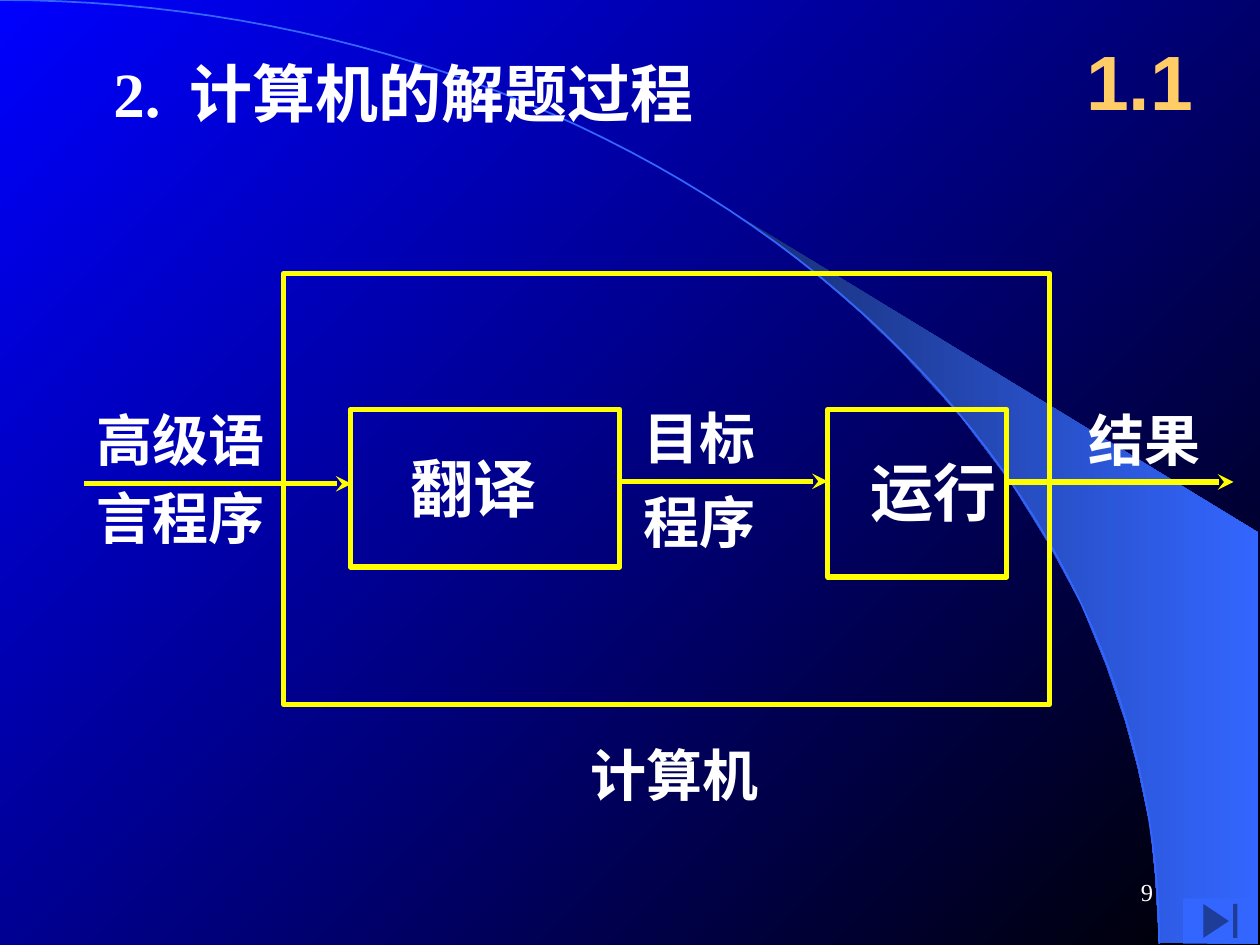
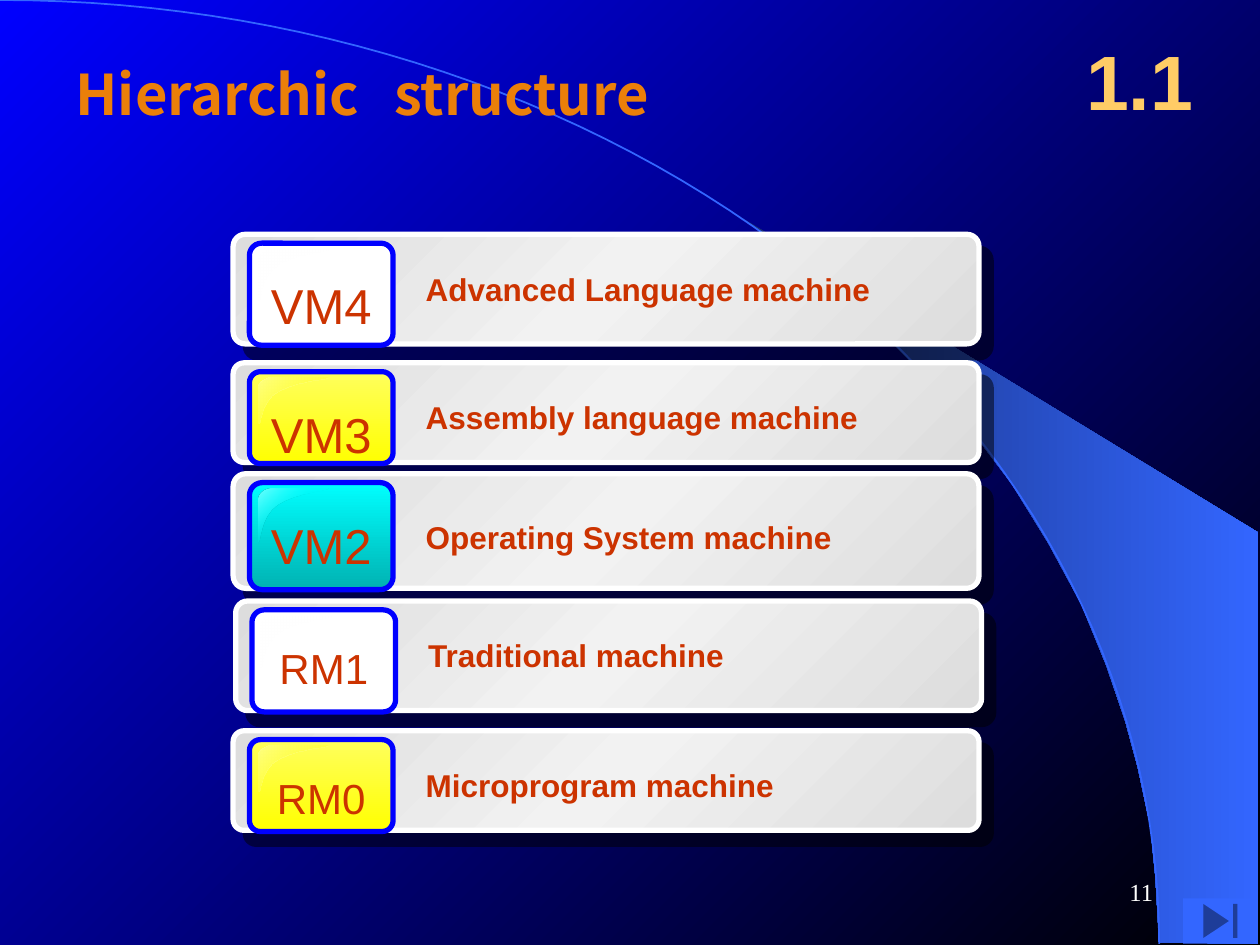
from dataclasses import dataclass
from math import cos, pi, sin
from typing import NamedTuple

from lxml.etree import SubElement
from pptx import Presentation
from pptx.dml.color import RGBColor
from pptx.enum.shapes import MSO_CONNECTOR, MSO_SHAPE
from pptx.enum.text import MSO_ANCHOR, MSO_AUTO_SIZE, PP_ALIGN
from pptx.oxml.ns import qn
from pptx.util import Emu, Inches, Pt

# The slide is a grid of 100 columns by 75 rows; every length below is in cells.
COLUMNS, ROWS = 100, 75
CELL = Inches(0.1)

WHITE = RGBColor(0xFF, 0xFF, 0xFF)
BLACK = RGBColor(0x00, 0x00, 0x00)
BLUE = RGBColor(0x00, 0x00, 0xFF)
SKY = RGBColor(0x33, 0x66, 0xFF)
NAVY = RGBColor(0x18, 0x2F, 0x76)
YELLOW = RGBColor(0xFF, 0xFF, 0x00)
PALE_YELLOW = RGBColor(0xFF, 0xFF, 0x5D)
GLINT_YELLOW = RGBColor(0xFF, 0xFF, 0x83)
CYAN = RGBColor(0x00, 0xFF, 0xFF)
TEAL = RGBColor(0x00, 0xB2, 0xB2)
GLINT_CYAN = RGBColor(0x74, 0xFF, 0xFF)
GOLD = RGBColor(0xFF, 0xCC, 0x66)
ORANGE = RGBColor(0xEB, 0x7F, 0x09)
RUST = RGBColor(0xCC, 0x33, 0x00)
GREY = RGBColor(0xDD, 0xDD, 0xDD)
LIGHT_GREY = RGBColor(0xF2, 0xF2, 0xF2)

SERIF, SANS, CHINESE = "Times New Roman", "Arial", "Noto Sans CJK SC"
SECTION = "1.1"
SWOOSH = [(92, 74.8), (99.9, 74.9), (99.9, 42.3), (58.9, 17.3), (62.4, 19.9),
          (65.3, 22.2), (68.5, 25), (71.6, 28), (76.2, 33), (80.3, 38.4),
          (83.2, 43.1), (85.8, 47.9), (87.8, 52.8), (89.3, 57.2), (90.3, 60.9),
          (91.3, 65.6), (91.7, 69.6)]
# Cubic curves of the badge highlight, as shares of its width and height.
GLINT_CURVES = [
    ((0.19, 0), (0.09, 0), (0, 0.1), (0, 0.2)),
    ((0, 1), (0.05, 1.02), (0.02, 0.52), (0.28, 0.3)),
    ((0.28, 0.3), (0.53, 0.08), (1, 0.05), (0.98, 0)),
]


class Box(NamedTuple):
    left: float
    top: float
    width: float
    height: float

    def lengths(self) -> list[Emu]:
        return [cells(value) for value in self]


class Stop(NamedTuple):
    position: int
    color: RGBColor
    opacity: int = 100


@dataclass(frozen=True)
class BadgeStyle:
    face: tuple[Stop, ...]
    glint: tuple[Stop, ...]


@dataclass(frozen=True)
class Level:
    code: str
    label: str
    top: float
    height: float
    style: BadgeStyle
    code_size: int = 28
    shift: float = 0
    label_drop: float = 2.3


@dataclass(frozen=True)
class Caption:
    text: str
    box: Box
    size: int = 32


WHITE_BADGE = BadgeStyle((Stop(0, WHITE), Stop(100, WHITE)),
                         (Stop(0, WHITE), Stop(100, WHITE, 0)))
YELLOW_BADGE = BadgeStyle((Stop(0, PALE_YELLOW), Stop(100, YELLOW)),
                          (Stop(0, GLINT_YELLOW), Stop(100, YELLOW, 0)))
CYAN_BADGE = BadgeStyle((Stop(0, CYAN), Stop(100, TEAL)),
                        (Stop(0, GLINT_CYAN), Stop(50, CYAN, 0), Stop(100, GLINT_CYAN)))
BAR_STOPS = (Stop(0, GREY), Stop(50, LIGHT_GREY), Stop(100, GREY))

LEVELS = [
    Level("VM4", "Advanced Language machine", 18.6, 8.7, WHITE_BADGE),
    Level("VM3", "Assembly language machine", 28.8, 7.9, YELLOW_BADGE),
    Level("VM2", "Operating System machine", 37.6, 9.1, CYAN_BADGE, label_drop=3),
    Level("RM1", "Traditional machine", 47.7, 8.7, WHITE_BADGE, 24, shift=0.2),
    Level("RM0", "Microprogram machine", 58, 7.9, YELLOW_BADGE, 24),
]

COMPUTER_FRAMES = [Box(22.5, 21.7, 60.8, 34.2), Box(27.8, 32.5, 21.4, 12.5),
                   Box(65.7, 32.5, 14.2, 13.3)]
FLOWS = [(6.7, 27.9, 38.4), (49.2, 65.7, 38.2), (79.9, 97.9, 38.25)]
CAPTIONS = [
    Caption("计算机", Box(45.9, 58.3, 16, 6.4)),
    Caption("高级语", Box(6.7, 31.7, 16, 6.4)),
    Caption("言程序", Box(6.7, 37.9, 16, 6.4)),
    Caption("目标", Box(50.1, 31.5, 13, 6.4)),
    Caption("程序", Box(50.1, 38.2, 13, 6.4)),
    Caption("结果", Box(85.4, 31.7, 13, 6.4)),
    Caption("翻译", Box(31.6, 35.2, 13.8, 7), 36),
    Caption("运行", Box(68.1, 35.5, 13, 7), 36),
]


def cells(count: float) -> Emu:
    return Emu(round(count * CELL))


def set_gradient(fill, element, stops, angle: int) -> None:
    """Give the fill of an element these stops; the angle runs clockwise."""
    fill.gradient()
    fill.gradient_angle = -angle % 360
    stop_list = element.find(".//" + qn("a:gsLst"))
    for old_stop in list(stop_list):
        stop_list.remove(old_stop)
    for stop in stops:
        stop_element = SubElement(stop_list, qn("a:gs"), pos=str(stop.position * 1000))
        color = SubElement(stop_element, qn("a:srgbClr"), val=str(stop.color))
        if stop.opacity < 100:
            SubElement(color, qn("a:alpha"), val=str(stop.opacity * 1000))


def finish(shape, *, stops=None, angle=0, line=None, width=3):
    """Set fill and outline, and clear the theme's shadow."""
    shape.shadow.inherit = False
    if stops:
        set_gradient(shape.fill, shape._element, stops, angle)
    else:
        shape.fill.background()
    if line is None:
        shape.line.fill.background()
    else:
        shape.line.color.rgb = line
        shape.line.width = Pt(width)
    return shape


def add_outline(slide, points, close=True, **look):
    lengths = [(cells(x), cells(y)) for x, y in points]
    builder = slide.shapes.build_freeform(*lengths[0])
    builder.add_line_segments(lengths[1:], close=close)
    return finish(builder.convert_to_shape(), **look)


def write(shape, text: str, *, size: int, color=WHITE, font=CHINESE, bold=True,
          align=PP_ALIGN.LEFT, anchor=MSO_ANCHOR.TOP, tab=None) -> None:
    frame = shape.text_frame
    frame.word_wrap = True
    frame.auto_size = MSO_AUTO_SIZE.NONE
    frame.vertical_anchor = anchor
    frame.margin_left = frame.margin_right = Inches(0.1)
    frame.margin_top = frame.margin_bottom = Inches(0.05)
    paragraph = frame.paragraphs[0]
    paragraph.alignment = align
    if tab is not None:
        tabs = SubElement(paragraph._p.get_or_add_pPr(), qn("a:tabLst"))
        SubElement(tabs, qn("a:tab"), pos=str(cells(tab)), algn="l")
    run = paragraph.add_run()
    run.text = text
    run.font.size = Pt(size)
    run.font.bold = bold
    run.font.color.rgb = color
    run.font.name = font
    SubElement(run._r.get_or_add_rPr(), qn("a:ea"), typeface=CHINESE)


def add_text(slide, text: str, box: Box, **style) -> None:
    write(slide.shapes.add_textbox(*box.lengths()), text, **style)


def add_arrow(slide, start: float, end: float, row: float) -> None:
    arrow = slide.shapes.add_connector(MSO_CONNECTOR.STRAIGHT, cells(start), cells(row),
                                       cells(end), cells(row))
    arrow.line.color.rgb = YELLOW
    arrow.line.width = Pt(3)
    SubElement(arrow.line._get_or_add_ln(), qn("a:tailEnd"), type="stealth")
    SubElement(arrow._element.spPr, qn("a:effectLst"))


def add_themed_slide(presentation, title: str, box: Box, number: int, **title_style):
    """Add a slide with swoosh, arc, title, section, button and page number."""
    slide = presentation.slides.add_slide(presentation.slide_layouts[5])
    add_outline(slide, SWOOSH, stops=(Stop(0, NAVY), Stop(100, SKY)))
    turns = [step * pi / 120 for step in range(61)]
    arc = [(92 * sin(turn), 74.9 * (1 - cos(turn))) for turn in turns]
    add_outline(slide, arc, close=False, line=SKY, width=1)

    heading = slide.shapes.title
    heading.left, heading.top, heading.width, heading.height = box.lengths()
    write(heading, title, **title_style)
    slide.shapes._spTree.append(heading._element)

    add_text(slide, SECTION, Box(84.2, 1.7, 12.5, 9.2), size=44, color=GOLD, font=SANS,
             align=PP_ALIGN.CENTER, anchor=MSO_ANCHOR.MIDDLE)
    button = slide.shapes.add_shape(MSO_SHAPE.ACTION_BUTTON_END,
                                    *Box(93.9, 71.3, 5.9, 3.6).lengths())
    finish(button)
    button.fill.solid()
    button.fill.fore_color.rgb = SKY
    add_text(slide, str(number), Box(71.7, 68.3, 20.8, 5), size=14, font=SERIF,
             bold=False, align=PP_ALIGN.RIGHT, anchor=MSO_ANCHOR.MIDDLE)
    return slide


def add_rounded(slide, box: Box, corner: float, **look):
    shape = slide.shapes.add_shape(MSO_SHAPE.ROUNDED_RECTANGLE, *box.lengths())
    shape.adjustments[0] = corner
    return finish(shape, **look)


def add_drop_shadow(shape) -> None:
    effects = shape._element.spPr.find(qn("a:effectLst"))
    shadow = SubElement(effects, qn("a:outerShdw"), blurRad="0", dist=str(Pt(10.6)),
                        dir=str(49 * 60000), algn="ctr", rotWithShape="0")
    color = SubElement(shadow, qn("a:srgbClr"), val=str(BLACK))
    SubElement(color, qn("a:alpha"), val="50000")


def glint_points(box: Box, steps: int = 8) -> list[tuple[float, float]]:
    points = []
    for curve in GLINT_CURVES:
        for step in range(steps + 1):
            t = step / steps
            weights = ((1 - t) ** 3, 3 * t * (1 - t) ** 2, 3 * t * t * (1 - t), t ** 3)
            x, y = (sum(w * point[axis] for w, point in zip(weights, curve))
                    for axis in (0, 1))
            points.append((box.left + x * box.width, box.top + y * box.height))
    return points


def add_level(slide, level: Level) -> None:
    left, top = 18.5 + level.shift, level.top
    bar = add_rounded(slide, Box(left, top, 59.2, level.height), 0.11,
                      stops=BAR_STOPS, angle=45, line=WHITE)
    add_drop_shadow(bar)
    badge = Box(left + 1.3, top + 0.7, 11.4, level.height - 0.6)
    add_rounded(slide, badge, 0.12, stops=level.style.face, angle=90, line=BLUE)
    glint = Box(badge.left + 0.7, badge.top + 0.5, badge.width / 2, badge.height / 2)
    add_outline(slide, glint_points(glint), stops=level.style.glint, angle=45)
    add_text(slide, level.code, Box(badge.left, top + 2.8, badge.width, 5.7), font=SANS,
             size=level.code_size, color=RUST, bold=False, align=PP_ALIGN.CENTER)
    add_text(slide, level.label, Box(left + 14.3, top + level.label_drop, 43.6, 4),
             font=SANS, size=18, color=RUST)


def build_solving_slide(presentation) -> None:
    slide = add_themed_slide(presentation, "2.\t计算机的解题过程", Box(8, 3.8, 63.7, 7), 9,
                             size=36, font=SERIF, tab=6)
    for frame in COMPUTER_FRAMES:
        shape = slide.shapes.add_shape(MSO_SHAPE.RECTANGLE, *frame.lengths())
        finish(shape, line=YELLOW)
    for flow in FLOWS:
        add_arrow(slide, *flow)
    for caption in CAPTIONS:
        add_text(slide, caption.text, caption.box, size=caption.size)


def build_hierarchy_slide(presentation) -> None:
    slide = add_themed_slide(presentation, "Hierarchic\tstructure", Box(5, 4.2, 78, 10), 11,
                             size=32, color=ORANGE, tab=25.3)
    for level in LEVELS:
        add_level(slide, level)


def main() -> None:
    presentation = Presentation()
    presentation.slide_width, presentation.slide_height = cells(COLUMNS), cells(ROWS)
    master = presentation.slide_master
    set_gradient(master.background.fill, master.element,
                 (Stop(0, BLUE), Stop(100, BLACK)), 45)
    build_solving_slide(presentation)
    build_hierarchy_slide(presentation)
    presentation.save("out.pptx")


if __name__ == "__main__":
    main()
